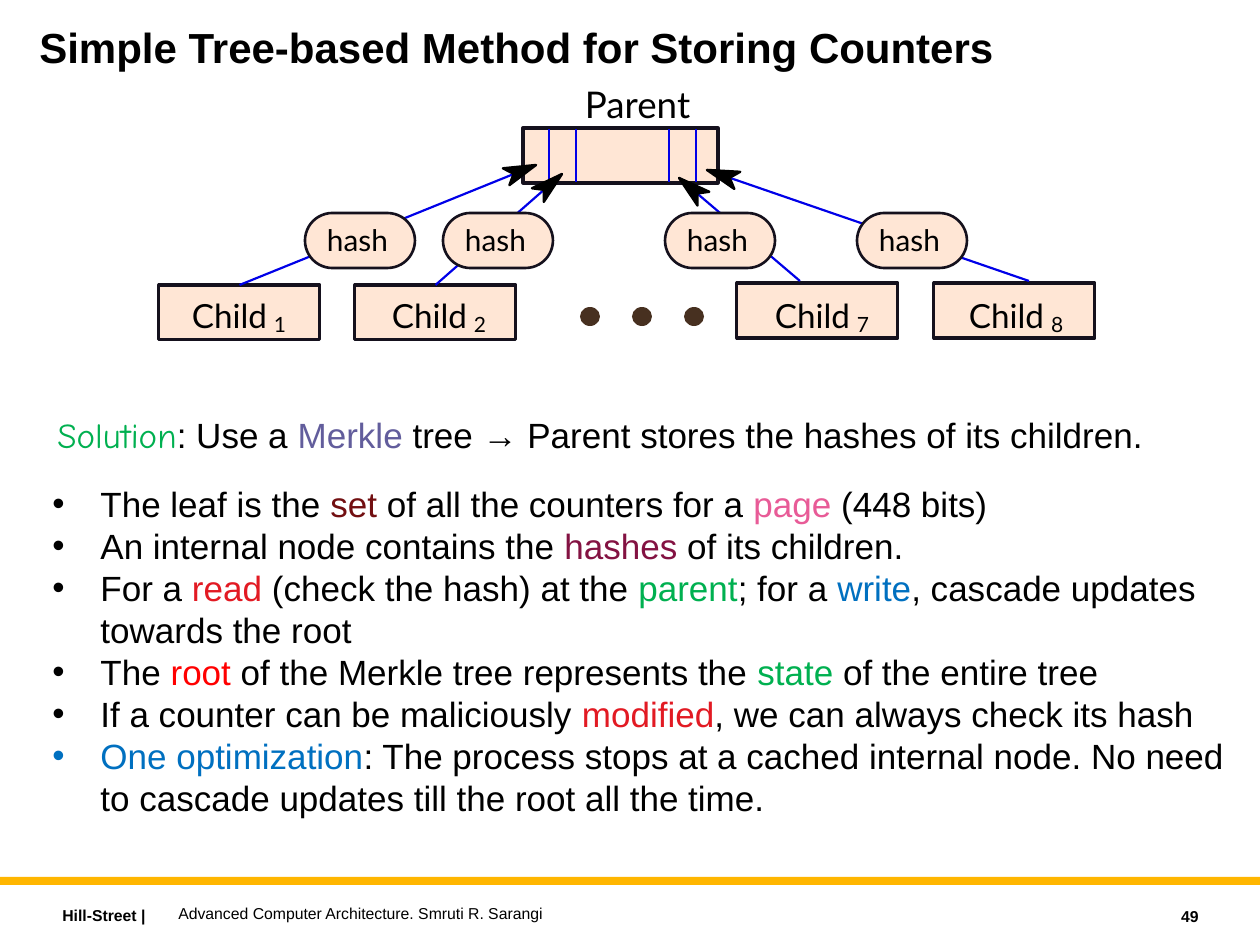
import math
import pptx
import pptx.util
import pptx.dml.color
import pptx.enum.shapes
import pptx.enum.text
import pptx.oxml.ns
from lxml import etree

RGB = pptx.dml.color.RGBColor
BLACK = RGB(0x00, 0x00, 0x00)
AMBER = RGB(0xFF, 0xB6, 0x00)
PEACH = RGB(0xFF, 0xE6, 0xD5)
INK = RGB(0x15, 0x11, 0x1D)
BROWN = RGB(0x47, 0x30, 0x20)
BLUE = RGB(0x00, 0x00, 0xE8)
GREEN = RGB(0x00, 0xB0, 0x50)
PURPLE = RGB(0x62, 0x5D, 0x9C)
MAROON = RGB(0x72, 0x0F, 0x11)
PINK = RGB(0xE8, 0x5B, 0x97)
PLUM = RGB(0x83, 0x12, 0x42)
CRIMSON = RGB(0xE2, 0x1A, 0x23)
SKY = RGB(0x00, 0x70, 0xC0)
RED = RGB(0xFF, 0x00, 0x00)

KIND = pptx.enum.shapes.MSO_SHAPE
ALIGN = pptx.enum.text.PP_ALIGN
ANCHOR = pptx.enum.text.MSO_ANCHOR
FIT = pptx.enum.text.MSO_AUTO_SIZE
Pt = pptx.util.Pt
SCALE = 914400 / 126

CHILDREN = [
    ("1", 159, 285, 33, 236, (536, 165)),
    ("2", 355, 285, 37, 437, (562, 174)),
    ("7", 737, 283, 38, 800, (679, 178)),
    ("8", 934, 283, 35, 1029, (707, 170)),
]
POINTS = [
    ["The leaf is the ", ("set", MAROON), " of all the counters for a ",
     ("page", PINK), " (448 bits)"],
    ["An internal node contains the ", ("hashes", PLUM), " of its children."],
    ["For a ", ("read", CRIMSON), " (check the hash) at the ", ("parent", GREEN),
     "; for a ", ("write", SKY), ", cascade updates\ntowards the root"],
    ["The ", ("root", RED), " of the Merkle tree represents the ",
     ("state", GREEN), " of the entire tree"],
    ["If a counter can be maliciously ", ("modified", CRIMSON),
     ", we can always check its hash"],
    [("One optimization", SKY), ": The process stops at a cached internal node. "
     "No need\nto cascade updates till the root all the time."],
]


def px(num):
    """Turn px into EMU."""
    return round(num * SCALE)


def paint(shape, fill, line=None, width=0):
    """Set fill, line and shadow of a shape."""
    shape.shadow.inherit = False
    shape.fill.solid()
    shape.fill.fore_color.rgb = fill
    if line is None:
        shape.line.fill.background()
    else:
        shape.line.color.rgb = line
        shape.line.width = Pt(width)


def add_box(slide, kind, box, fill, line=None, width=0):
    """Add a painted preset shape."""
    shape = slide.shapes.add_shape(kind, *map(px, box))
    paint(shape, fill, line, width)
    return shape


def set_font(para, size, face="Arial", bold=False):
    """Set the font that a paragraph shares."""
    para.font.size = Pt(size)
    para.font.name = face
    para.font.bold = bold
    para.font.color.rgb = BLACK


def add_text(slide, box, text, size, bold=False, align=ALIGN.LEFT, anchor=ANCHOR.TOP):
    """Add a wrapped text box with one paragraph."""
    frame = slide.shapes.add_textbox(*map(px, box)).text_frame
    frame.word_wrap = True
    frame.vertical_anchor = anchor
    para = frame.paragraphs[0]
    para.text = text
    para.alignment = align
    set_font(para, size, bold=bold)
    return para


def add_label(slide, box, text, size):
    """Add a diagram label without margins."""
    frame = slide.shapes.add_textbox(*map(px, box)).text_frame
    frame.margin_left = frame.margin_right = 0
    frame.margin_top = frame.margin_bottom = 0
    frame.word_wrap = False
    frame.auto_size = FIT.SHAPE_TO_FIT_TEXT
    frame.paragraphs[0].text = text
    set_font(frame.paragraphs[0], size, "Lato")


def add_line(slide, start, end):
    """Add a thin blue line."""
    line = slide.shapes.add_connector(
        pptx.enum.shapes.MSO_CONNECTOR.STRAIGHT, *map(px, (*start, *end)))
    line.line.color.rgb = BLUE
    line.line.width = Pt(1.25)
    etree.SubElement(line.element.spPr, pptx.oxml.ns.qn("a:effectLst"))
    return line


def add_head(slide, start, tip):
    """Add a barbed arrowhead at the tip of a line."""
    turn = math.atan2(tip[1] - start[1], tip[0] - start[0])
    cos, sin = math.cos(turn), math.sin(turn)
    spots = [(px(tip[0] + u * cos - v * sin), px(tip[1] + u * sin + v * cos))
             for u, v in ((0, 0), (-32, 9), (-24, 0), (-32, -9))]
    path = slide.shapes.build_freeform(*spots[0], scale=1.0)
    path.add_line_segments(spots[1:], close=True)
    paint(path.convert_to_shape(), BLACK, BLACK, 1.38)


def add_child(slide, name, left, top, shift):
    """Add a child node with its subscript."""
    box = add_box(slide, KIND.RECTANGLE, (left, top, 161, 55), PEACH, INK, 1.75)
    add_label(slide, (left + shift, 295, 91, 44), "Child", 19)
    add_label(slide, (left + shift + 82, 312, 20, 28), name, 12)
    return box


def add_hash(slide, left):
    """Add a hash pill."""
    pill = add_box(slide, KIND.ROUNDED_RECTANGLE, (left, 213, 110, 55), PEACH, INK, 1.5)
    pill.adjustments[0] = 0.5
    add_label(slide, (left + 22, 222, 78, 40), "hash", 17)


def add_runs(para, parts):
    """Add plain or coloured parts, with line breaks."""
    for part in parts:
        text, tint = (part, None) if isinstance(part, str) else part
        for num, row in enumerate(text.split("\n")):
            if num:
                para.add_line_break()
            run = para.add_run()
            run.text = row
            if tint is not None:
                run.font.color.rgb = tint


def add_bullets(slide, box, points):
    """Add a bulleted list."""
    frame = slide.shapes.add_textbox(*map(px, box)).text_frame
    frame.word_wrap = True
    for num, parts in enumerate(points):
        para = frame.add_paragraph() if num else frame.paragraphs[0]
        props = para._p.get_or_add_pPr()
        props.set("marL", str(px(48)))
        props.set("indent", str(px(-48)))
        font = etree.SubElement(props, pptx.oxml.ns.qn("a:buFont"))
        font.set("typeface", "Arial")
        mark = etree.SubElement(props, pptx.oxml.ns.qn("a:buChar"))
        mark.set("char", "•")
        set_font(para, 20)
        add_runs(para, parts)


def add_tree(slide):
    """Draw the parent, its children and the hashes between."""
    boxes = [add_child(slide, *child[:4]) for child in CHILDREN]
    for num in range(3):
        add_box(slide, KIND.OVAL, (580 + 52 * num, 307, 20, 19), BROWN)
    add_box(slide, KIND.RECTANGLE, (523, 128, 195, 55), PEACH, INK, 1.88)
    add_label(slide, (585, 82, 125, 49), "Parent", 21)
    for left in (549, 576, 669, 696):
        add_line(slide, (left, 129), (left, 182))
    for box, (_, left, top, _, foot, tip) in zip(boxes, CHILDREN):
        start = (foot, top - 2)
        line = add_line(slide, start, tip)
        if abs(foot - left - 80) < 5:
            line.begin_connect(box, 0)
        add_head(slide, start, tip)
    for left in (305, 443, 665, 857):
        add_hash(slide, left)


def main():
    """Build the slide."""
    deck = pptx.Presentation()
    deck.slide_width, deck.slide_height = px(1260), px(945)
    slide = deck.slides.add_slide(deck.slide_layouts[6])
    add_box(slide, KIND.RECTANGLE, (0, 877, 1260, 8), AMBER)
    add_text(slide, (50, 900, 214, 32), "Hill-Street |", 9, bold=True)
    title = add_text(slide, (27, 21, 1033, 113),
                     "Simple Tree-based Method for Storing Counters", 24, bold=True)
    title.line_spacing = 0.9
    add_text(slide, (166, 897, 756, 32),
             "Advanced Computer Architecture. Smruti R. Sarangi", 9, anchor=ANCHOR.MIDDLE)
    add_text(slide, (1079, 900, 132, 32), "49", 9, True, ALIGN.RIGHT, ANCHOR.MIDDLE)
    add_tree(slide)
    para = add_text(slide, (45, 407, 1184, 55), "", 20)
    add_runs(para, [("Solution", GREEN), ": Use a ", ("Merkle", PURPLE),
                    " tree → Parent stores the hashes of its children."])
    para.runs[0].font.name = "Comic Neue"
    add_bullets(slide, (40, 476, 1229, 352), POINTS)
    deck.save("out.pptx")


if __name__ == "__main__":
    main()
